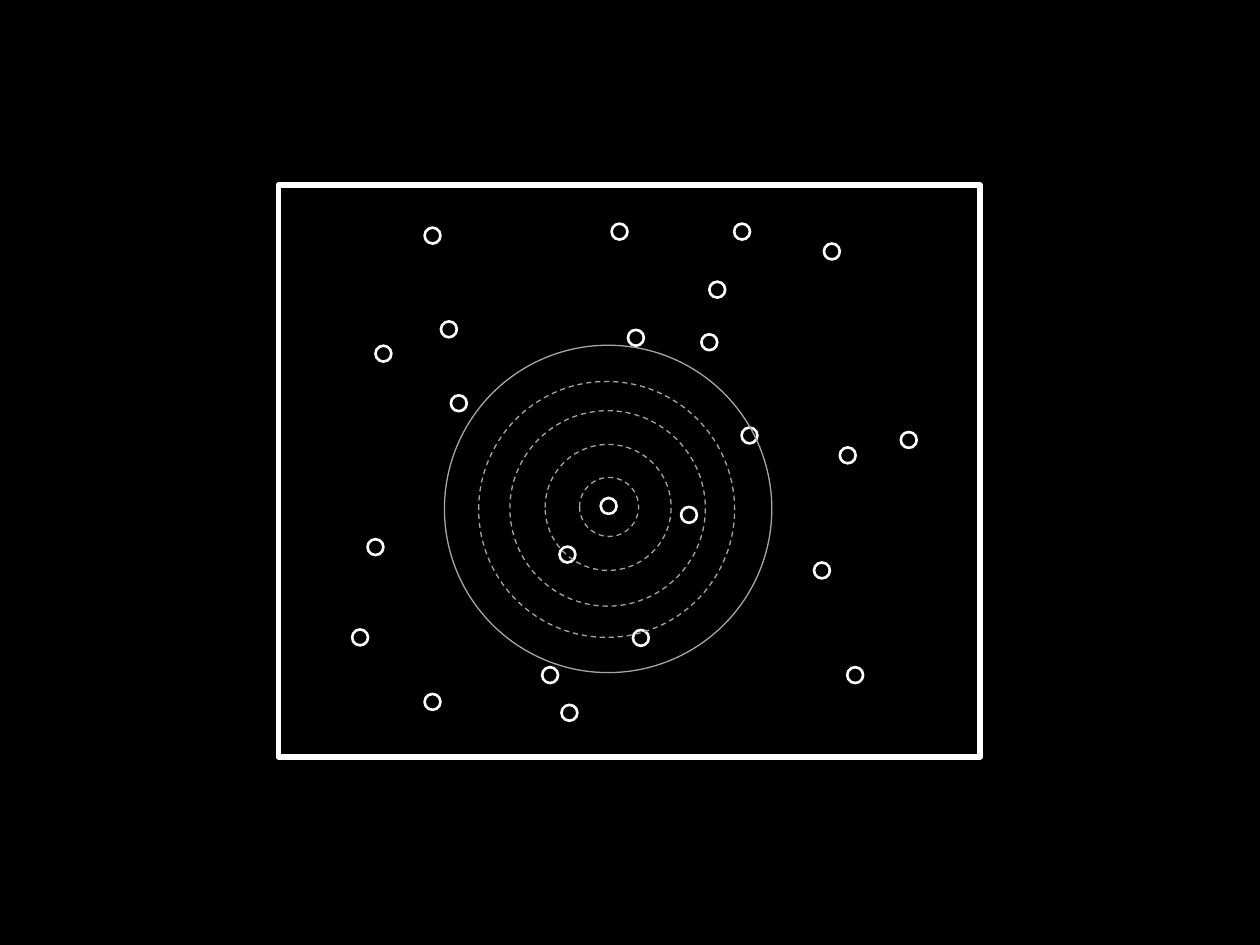
from dataclasses import dataclass

from pptx import Presentation
from pptx.dml.color import RGBColor
from pptx.enum.dml import MSO_LINE_DASH_STYLE as Dash
from pptx.enum.shapes import MSO_SHAPE as Shape
from pptx.util import Cm, Pt


@dataclass(frozen=True)
class Theme:
    background: RGBColor = RGBColor(0, 0, 0)
    ink: RGBColor = RGBColor(255, 255, 255)
    ring: RGBColor = RGBColor(0xA6, 0xA6, 0xA6)
    frame_width: float = 3
    dot_width: float = 1.5
    ring_width: float = 0.75


@dataclass(frozen=True)
class Box:
    left: float
    top: float
    width: float
    height: float


THEME = Theme()
FIELD = Box(5.61, 3.73, 14.15, 11.53)
DOT_SIZE = 0.32

# Dot centres in cm from the field's top left corner
DOTS = [
    (5.87, 10.64), (6.88, 0.94), (3.11, 1.02), (12.71, 5.14),
    (5.48, 9.88), (11.16, 1.34), (3.64, 4.4), (5.83, 7.45),
    (8.69, 3.17), (1.96, 7.3), (3.44, 2.91), (1.65, 9.12),
    (8.28, 6.65), (9.35, 0.94), (7.21, 3.08), (2.12, 3.4),
    (8.85, 2.11), (11.48, 5.45), (11.63, 9.88), (7.31, 9.13),
    (3.11, 10.42), (6.66, 6.47), (10.96, 7.77), (9.5, 5.05),
]

# Ring centre x, centre y and diameter, from the outside in
RINGS = [
    (6.65, 6.53, 6.6), (6.62, 6.54, 5.16), (6.64, 6.52, 3.94),
    (6.65, 6.5, 2.54), (6.67, 6.49, 1.19),
]


def add_outline(shapes, kind, box, color, width, dash=None):
    outline = shapes.add_shape(
        kind, Cm(box.left), Cm(box.top), Cm(box.width), Cm(box.height))
    outline.shadow.inherit = False
    outline.fill.background()
    outline.line.color.rgb = color
    outline.line.width = Pt(width)
    if dash is not None:
        outline.line.dash_style = dash


def circle_box(box, x, y, size):
    return Box(box.left + x - size / 2, box.top + y - size / 2, size, size)


def add_field(page, box):
    """Frame with scattered dots."""
    add_outline(page.shapes, Shape.RECTANGLE, box, THEME.ink, THEME.frame_width)
    for x, y in DOTS:
        add_outline(page.shapes, Shape.OVAL, circle_box(box, x, y, DOT_SIZE),
                    THEME.ink, THEME.dot_width)


def add_rings(page, box):
    """Grouped search rings: solid outside, dashed inside."""
    group = page.shapes.add_group_shape()
    for index, (x, y, size) in enumerate(RINGS):
        add_outline(group.shapes, Shape.OVAL, circle_box(box, x, y, size),
                    THEME.ring, THEME.ring_width, Dash.DASH if index else None)


def main():
    deck = Presentation()
    deck.slide_width, deck.slide_height = Cm(25.4), Cm(19.05)
    page = deck.slides.add_slide(deck.slide_layouts[6])
    page.background.fill.solid()
    page.background.fill.fore_color.rgb = THEME.background
    add_field(page, FIELD)
    add_rings(page, FIELD)
    deck.save("out.pptx")


if __name__ == "__main__":
    main()
